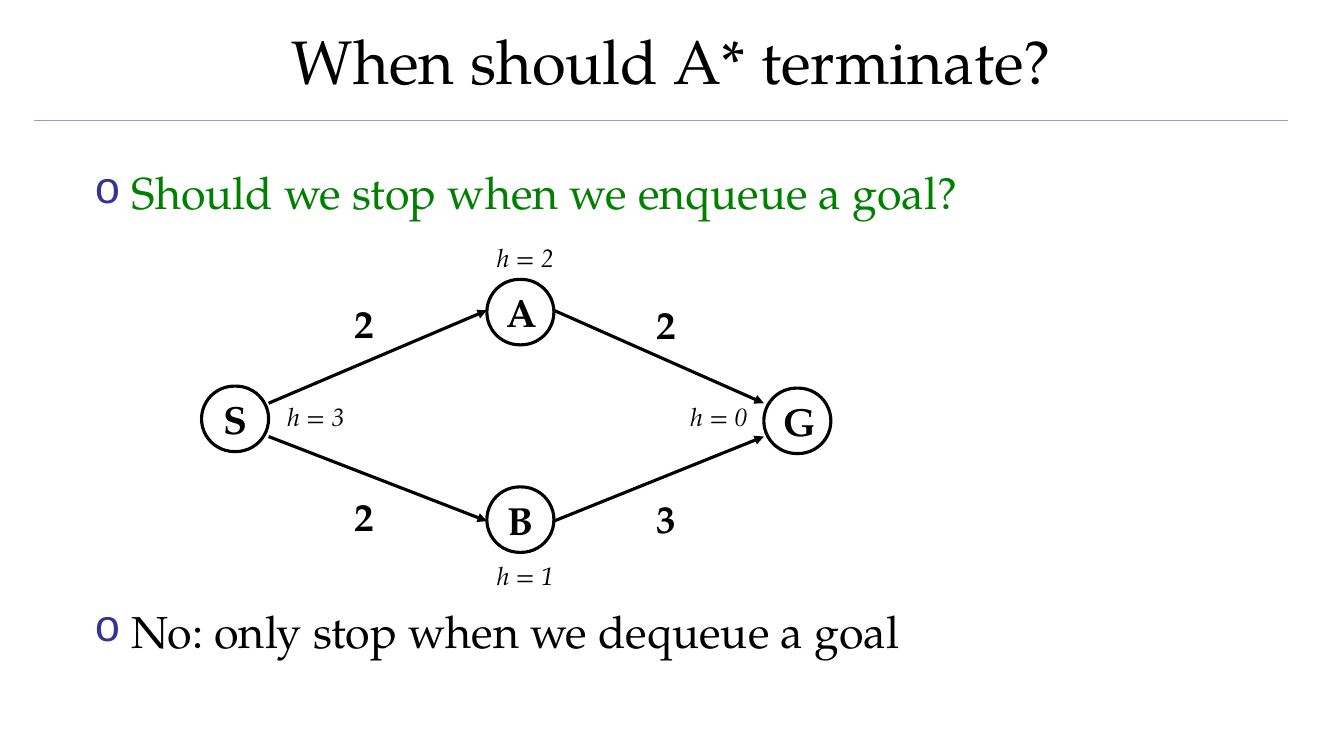
from lxml import etree
from pptx import Presentation
from pptx.dml.color import RGBColor
from pptx.enum.shapes import MSO_CONNECTOR, MSO_SHAPE
from pptx.enum.text import MSO_ANCHOR, MSO_AUTO_SIZE, PP_ALIGN
from pptx.oxml.ns import qn
from pptx.util import Cm, Pt

STRAIGHT = MSO_CONNECTOR.STRAIGHT
ROUNDED = MSO_SHAPE.ROUNDED_RECTANGLE
MIDDLE = MSO_ANCHOR.MIDDLE
NO_AUTOFIT = MSO_AUTO_SIZE.NONE
CENTER = PP_ALIGN.CENTER

FONT = "TeX Gyre Pagella"
BULLET_FONT = "Courier New"
BLACK = RGBColor(0x00, 0x00, 0x00)
GREEN = RGBColor(0x00, 0x80, 0x00)
NAVY = RGBColor(0x33, 0x33, 0x99)
LAVENDER = RGBColor(0x9A, 0x9A, 0xDF)

TITLE_SIZE, BODY_SIZE, NODE_SIZE, HEURISTIC_SIZE = 44, 32, 28, 18
LINE_WIDTH = 2.25
NODE_WIDTH, NODE_HEIGHT = 1.69, 1.65
GRAPH_GAP = 275  # points left between the two statements for the graph

# Columns of the graph, in centimetres
START_LEFT, MIDDLE_LEFT, GOAL_LEFT = 5.08, 12.27, 19.25
START_RIGHT, MIDDLE_RIGHT = START_LEFT + NODE_WIDTH, MIDDLE_LEFT + NODE_WIDTH
COST_LEFT, COST_RIGHT = 8.68, 16.3
A_PORT, B_PORT, UPPER_PORT, LOWER_PORT = 7.82, 13.13, 10.16, 11.0

NODES = [
    ("S", START_LEFT, 9.73),
    ("A", MIDDLE_LEFT, 7.04),
    ("B", MIDDLE_LEFT, 12.27),
    ("G", GOAL_LEFT, 9.78),
]
EDGES = [
    (START_RIGHT, UPPER_PORT, MIDDLE_LEFT, A_PORT),
    (START_RIGHT, LOWER_PORT, MIDDLE_LEFT, B_PORT),
    (MIDDLE_RIGHT, A_PORT, GOAL_LEFT, UPPER_PORT),
    (MIDDLE_RIGHT, B_PORT, GOAL_LEFT, LOWER_PORT),
]
COSTS = [
    ("2", COST_LEFT, 7.42),
    ("2", COST_LEFT, 12.27),
    ("2", COST_RIGHT, 7.45),
    ("3", COST_RIGHT, 12.32),
]
HEURISTICS = [
    ("h = 3", 6.99, 9.98),
    ("h = 2", 12.27, 5.97),
    ("h = 1", 12.27, 14.0),
    ("h = 0", 17.15, 9.98),
]
STATEMENTS = [
    ("Should we stop when we enqueue a goal?", GREEN),
    ("No: only stop when we dequeue a goal", BLACK),
]


def style_font(para, size, color=BLACK, bold=False, italic=False):
    for span in para.runs:
        span.font.name = FONT
        span.font.size = Pt(size)
        span.font.color.rgb = color
        span.font.bold = bold
        span.font.italic = italic


def add_title(page, text):
    title = page.shapes.title
    title.left, title.top = Cm(0), Cm(-0.08)
    title.width, title.height = Cm(33.87), Cm(3.18)
    frame = title.text_frame
    frame.text = text
    frame.auto_size = NO_AUTOFIT
    frame.vertical_anchor = MIDDLE
    frame.paragraphs[0].alignment = CENTER
    style_font(frame.paragraphs[0], TITLE_SIZE)


def add_line(page, start_x, start_y, end_x, end_y, color, width, arrow=False):
    line = page.shapes.add_connector(
        STRAIGHT, Cm(start_x), Cm(start_y), Cm(end_x), Cm(end_y))
    line.line.color.rgb = color
    line.line.width = Pt(width)
    if arrow:
        outline = line.line._get_or_add_ln()
        etree.SubElement(outline, qn("a:tailEnd"), type="triangle")
    etree.SubElement(line._element.spPr, qn("a:effectLst"))


def add_bullet(para):
    properties = para._p.get_or_add_pPr()
    properties.set("marL", str(Cm(0.95)))
    properties.set("indent", str(-Cm(0.95)))
    color = etree.SubElement(properties, qn("a:buClr"))
    etree.SubElement(color, qn("a:srgbClr"), val=str(NAVY))
    etree.SubElement(properties, qn("a:buFont"), typeface=BULLET_FONT)
    etree.SubElement(properties, qn("a:buChar"), char="o")


def add_statements(page):
    box = page.shapes.add_textbox(Cm(2.12), Cm(4.02), Cm(23.28), Cm(12.8))
    frame = box.text_frame
    frame.word_wrap = True
    for index, (text, color) in enumerate(STATEMENTS):
        para = frame.add_paragraph() if index else frame.paragraphs[0]
        para.text = text
        add_bullet(para)
        if index:
            para.space_before = Pt(GRAPH_GAP)
        style_font(para, BODY_SIZE, color)


def add_node(page, name, left, top):
    node = page.shapes.add_shape(
        ROUNDED, Cm(left), Cm(top), Cm(NODE_WIDTH), Cm(NODE_HEIGHT))
    node.adjustments[0] = 0.5
    node.shadow.inherit = False
    node.fill.background()
    node.line.color.rgb = BLACK
    node.line.width = Pt(LINE_WIDTH)
    frame = node.text_frame
    frame.text = name
    frame.vertical_anchor = MIDDLE
    frame.paragraphs[0].alignment = CENTER
    style_font(frame.paragraphs[0], NODE_SIZE, bold=True)


def add_label(page, text, left, top, width, height, size, **style):
    box = page.shapes.add_textbox(Cm(left), Cm(top), Cm(width), Cm(height))
    box.text_frame.word_wrap = True
    box.text_frame.text = text
    style_font(box.text_frame.paragraphs[0], size, **style)


def main():
    deck = Presentation()
    deck.slide_width, deck.slide_height = Cm(33.87), Cm(19.05)
    page = deck.slides.add_slide(deck.slide_layouts.get_by_name("Title Only"))

    add_line(page, 0.85, 3.03, 32.46, 3.03, LAVENDER, 1)
    add_title(page, "When should A* terminate?")
    add_statements(page)
    for node in NODES:
        add_node(page, *node)
    for edge in EDGES:
        add_line(page, *edge, BLACK, LINE_WIDTH, arrow=True)
    for cost in COSTS:
        add_label(page, *cost, 1.27, 1.45, NODE_SIZE, bold=True)
    for heuristic in HEURISTICS:
        add_label(page, *heuristic, 2.54, 1.02, HEURISTIC_SIZE, italic=True)

    deck.save("out.pptx")


if __name__ == "__main__":
    main()
